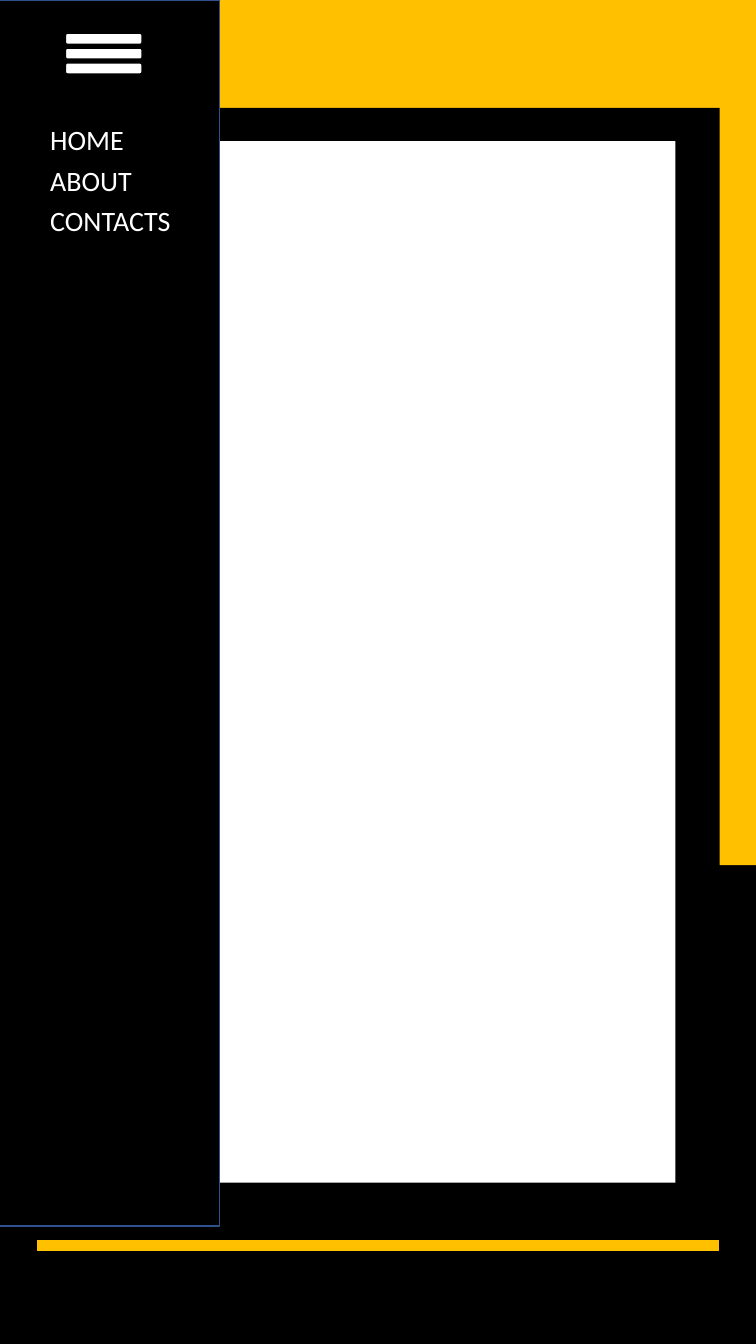
from dataclasses import dataclass
from typing import Optional

from lxml.etree import SubElement
from pptx import Presentation
from pptx.dml.color import RGBColor
from pptx.enum.shapes import MSO_CONNECTOR, MSO_SHAPE
from pptx.enum.text import MSO_ANCHOR
from pptx.oxml.ns import qn
from pptx.util import Inches, Pt

COLORS = {"black": "000000", "white": "FFFFFF", "amber": "FFC000", "navy": "2F528F"}


@dataclass
class Box:
    left: float
    top: float
    width: float
    height: float
    fill: str
    line: Optional[str] = None
    radius: float = 0.0  # corner radius in inches


def rgb(name: str) -> RGBColor:
    return RGBColor.from_string(COLORS[name])


def add_box(s, box: Box) -> None:
    kind = MSO_SHAPE.ROUNDED_RECTANGLE if box.radius else MSO_SHAPE.RECTANGLE
    sp = s.shapes.add_shape(kind, Inches(box.left), Inches(box.top),
                            Inches(box.width), Inches(box.height))
    sp.shadow.inherit = False
    if box.radius:
        sp.adjustments[0] = box.radius / box.height
    sp.fill.solid()
    sp.fill.fore_color.rgb = rgb(box.fill)
    if box.line:
        sp.line.color.rgb = rgb(box.line)
        sp.line.width = Pt(1)
    else:
        sp.line.fill.background()


def add_rule(s, left: float, right: float, y: float) -> None:
    cxn = s.shapes.add_connector(MSO_CONNECTOR.STRAIGHT, Inches(right), Inches(y),
                                 Inches(left), Inches(y))
    cxn.line.color.rgb = rgb("amber")
    cxn.line.width = Pt(8)
    SubElement(cxn._element.spPr, qn("a:effectLst"))


def add_menu(s, items: list[str]) -> None:
    tb = s.shapes.add_textbox(Inches(0.4), Inches(1.17), Inches(1.45), Inches(1.27))
    tf = tb.text_frame
    tf.word_wrap = True
    tf.vertical_anchor = MSO_ANCHOR.MIDDLE
    tf.text = "\n".join(items)
    for p in tf.paragraphs:
        p.line_spacing = 0.9
        p.space_before = Pt(7.5)
        for r in p.runs:
            r.font.name = "Calibri"
            r.font.size = Pt(20)
            r.font.color.rgb = rgb("white")


def main() -> None:
    prs = Presentation()
    prs.slide_width, prs.slide_height = Inches(7.5), Inches(13.33)
    s = prs.slides.add_slide(prs.slide_layouts[6])
    s.background.fill.solid()
    s.background.fill.fore_color.rgb = rgb("black")

    # Amber backdrop, black frame and footer rule
    add_box(s, Box(0, 0, 7.5, 8.58, "amber"))
    add_box(s, Box(0.37, 1.07, 6.77, 8.98, "black"))
    add_rule(s, 0.37, 7.13, 12.35)

    # Page content and side panel
    add_box(s, Box(0.8, 1.4, 5.9, 10.33, "white"))
    add_box(s, Box(-0.02, 0, 2.2, 12.16, "black", "navy"))

    # Menu button with three bars
    add_box(s, Box(0.52, 0.22, 1.05, 0.63, "black", "black", 0.1))
    for i in range(3):
        add_box(s, Box(0.65, 0.33 + i * 0.147, 0.76, 0.11, "white", "black", 0.02))

    # Menu entries
    add_menu(s, ["HOME", "ABOUT", "CONTACTS"])

    prs.save("out.pptx")


if __name__ == "__main__":
    main()
